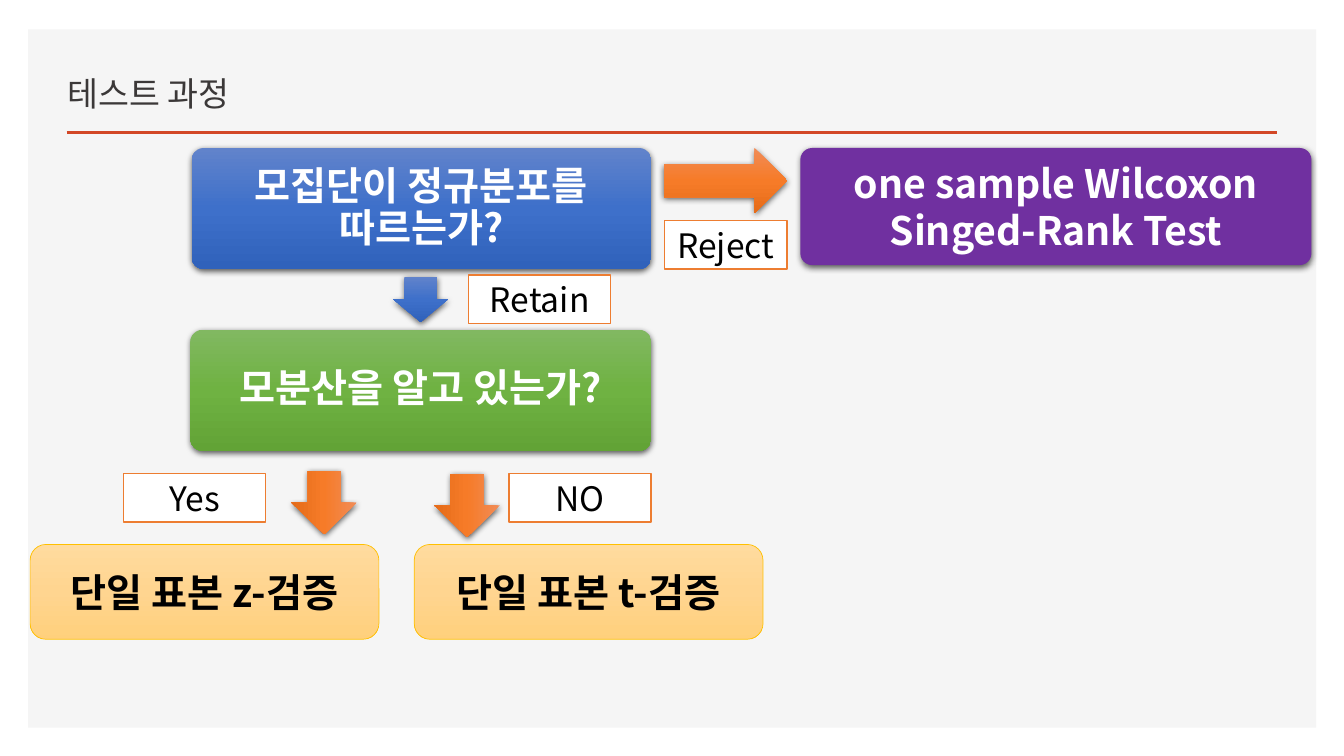
from dataclasses import dataclass

from lxml.etree import SubElement
from pptx import Presentation
from pptx.dml.color import RGBColor
from pptx.enum.shapes import MSO_CONNECTOR, MSO_SHAPE
from pptx.enum.text import MSO_ANCHOR, PP_ALIGN
from pptx.oxml.ns import qn
from pptx.util import Cm, Pt


@dataclass(frozen=True)
class Theme:
    panel: str = "F5F5F5"
    rule: str = "D24726"
    title: str = "3B3838"
    white: str = "FFFFFF"
    black: str = "000000"
    purple: str = "7030A0"
    label_line: str = "ED7D31"
    result_line: str = "FFC000"
    blue: tuple = ("6183CB", "3E70CA", "3062BB")
    green: tuple = ("81B861", "6FB242", "62A336")
    orange: tuple = ("F18C57", "F67B28", "E56C19")
    yellow: tuple = ("FFDB9E", "FFD590", "FFD07C")
    title_font: str = "Karla"
    font: str = "Noto Sans CJK KR"
    small: int = 24
    large: int = 28


T = Theme()


# Drawing helpers
def rgb(value):
    return RGBColor.from_string(value)


def add_gradient(sp, colors, angle):
    """Three even stops, placed right after the geometry."""
    pr = sp._element.spPr
    grad = SubElement(pr, qn("a:gradFill"), rotWithShape="1")
    stops = SubElement(grad, qn("a:gsLst"))
    for i, color in enumerate(colors):
        stop = SubElement(stops, qn("a:gs"), pos=str(i * 50000))
        SubElement(stop, qn("a:srgbClr"), val=color)
    SubElement(grad, qn("a:lin"), ang=str(angle * 60000), scaled="0")
    pr.find(qn("a:prstGeom")).addnext(grad)


def add_shadow(sp):
    effects = sp._element.spPr.find(qn("a:effectLst"))
    shadow = SubElement(effects, qn("a:outerShdw"), blurRad=str(Pt(4.5)),
                        dist=str(Pt(1.5)), dir="5400000", algn="ctr",
                        rotWithShape="0")
    color = SubElement(shadow, qn("a:srgbClr"), val=T.black)
    SubElement(color, qn("a:alpha"), val="63000")


def add_box(s, kind, box, fill, line=None, width=1, shadow=False, angle=90):
    sp = s.shapes.add_shape(kind, *(Cm(v) for v in box))
    sp.shadow.inherit = False
    if isinstance(fill, tuple):
        add_gradient(sp, fill, angle)
    else:
        sp.fill.solid()
        sp.fill.fore_color.rgb = rgb(fill)
    if line:
        sp.line.color.rgb = rgb(line)
        sp.line.width = Pt(width)
    else:
        sp.line.fill.background()
    if shadow:
        add_shadow(sp)
    return sp


def write(sp, text, color, size, bold=False, font=T.font,
          align=PP_ALIGN.CENTER, anchor=MSO_ANCHOR.MIDDLE, spacing=None):
    tf = sp.text_frame
    tf.word_wrap = True
    tf.vertical_anchor = anchor
    p = tf.paragraphs[0]
    p.alignment = align
    p.line_spacing = spacing
    r = p.add_run()
    r.text = text
    for name, value in {"name": font, "size": Pt(size), "bold": bold}.items():
        setattr(r.font, name, value)
    r.font.color.rgb = rgb(color)
    SubElement(r._r.get_or_add_rPr(), qn("a:ea"), typeface=T.font)


def add_arrow(s, box, fill, down=True, angle=90):
    sp = add_box(s, MSO_SHAPE.RIGHT_ARROW, box, fill, shadow=True, angle=angle)
    sp.rotation = 90 if down else 0
    return sp


def add_label(s, box, text):
    sp = add_box(s, MSO_SHAPE.RECTANGLE, box, T.white, T.label_line)
    write(sp, text, T.black, T.small)


# Regions
def header(s, box, title):
    x, y, w, h = box
    add_box(s, MSO_SHAPE.RECTANGLE, box, T.panel)
    rule = s.shapes.add_connector(MSO_CONNECTOR.STRAIGHT, Cm(x + 0.97),
                                  Cm(y + 2.59), Cm(x + w - 0.99), Cm(y + 2.59))
    rule.line.color.rgb = rgb(T.rule)
    rule.line.width = Pt(2)
    SubElement(rule._element.spPr, qn("a:effectLst"))
    sp = s.shapes.add_textbox(Cm(x + 0.74), Cm(y + 0.48), Cm(22.68), Cm(1.78))
    write(sp, title, T.title, T.small, font=T.title_font, align=PP_ALIGN.LEFT,
          anchor=MSO_ANCHOR.BOTTOM, spacing=0.9)


def question(s, box, text, fill):
    sp = add_box(s, MSO_SHAPE.ROUNDED_RECTANGLE, box, fill, shadow=True)
    sp.adjustments[0] = 0.1
    for side in ("left", "right", "top", "bottom"):
        setattr(sp.text_frame, "margin_" + side, Cm(0.4))
    write(sp, text, T.white, T.large, bold=True, spacing=0.9)


def retain_step(s, box):
    x, y, w, h = box
    sp = add_arrow(s, (x, y, 1.14, h), T.blue, angle=0)
    sp.adjustments[0] = 0.6
    add_label(s, (x + 1.78, y + 0.07, w - 1.78, 1.22), "Retain")


def reject_step(s, box):
    x, y, w, h = box
    add_arrow(s, (x, y, 3.1, 1.65), T.orange, down=False)
    add_label(s, (x, y + 1.83, 3.1, 1.22), "Reject")
    sp = add_box(s, MSO_SHAPE.ROUNDED_RECTANGLE, (x + 3.43, y, w - 3.43, h),
                 T.purple, shadow=True)
    sp.adjustments[0] = 0.1
    write(sp, "one sample Wilcoxon Singed-Rank Test", T.white, T.large, bold=True)


def branch(s, box, answer, result, label_dx, arrow_dx, arrow_dy):
    x, y, w, h = box
    add_label(s, (x + label_dx, y + 0.1, 3.58, 1.22), answer)
    add_arrow(s, (x + arrow_dx, y + arrow_dy, 1.6, 1.65), T.orange)
    sp = add_box(s, MSO_SHAPE.FLOWCHART_ALTERNATE_PROCESS,
                 (x, y + h - 2.39, w, 2.39), T.yellow, T.result_line, 0.5)
    write(sp, result, T.black, T.large, bold=True)


def main():
    prs = Presentation()
    prs.slide_width, prs.slide_height = Cm(33.87), Cm(19.05)
    s = prs.slides.add_slide(prs.slide_layouts[6])

    header(s, (0.71, 0.74, 32.46, 17.6), "테스트 과정")
    question(s, (4.83, 3.73, 11.58, 3.05), "모집단이 정규분포를 따르는가?", T.blue)
    retain_step(s, (10.03, 6.86, 5.36, 1.37))
    question(s, (4.8, 8.31, 11.61, 3.05), "모분산을 알고 있는가?", T.green)
    reject_step(s, (16.74, 3.73, 16.31, 2.95))
    branch(s, (0.76, 11.84, 8.79, 4.27), "Yes", "단일 표본 z-검증", 2.36, 6.61, 0)
    branch(s, (10.44, 11.84, 8.79, 4.27), "NO", "단일 표본 t-검증", 2.39, 0.53, 0.07)

    prs.save("out.pptx")


if __name__ == "__main__":
    main()
